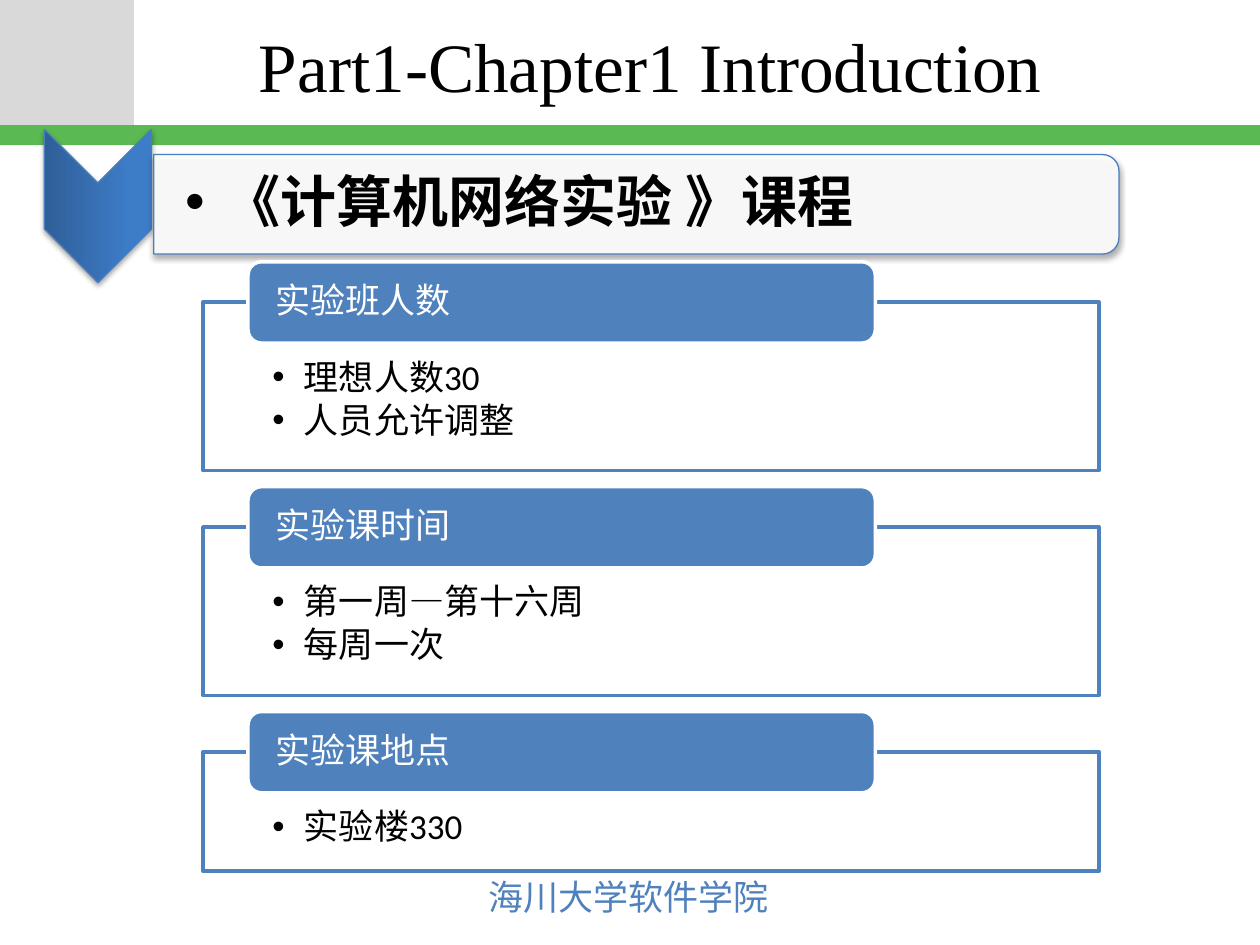
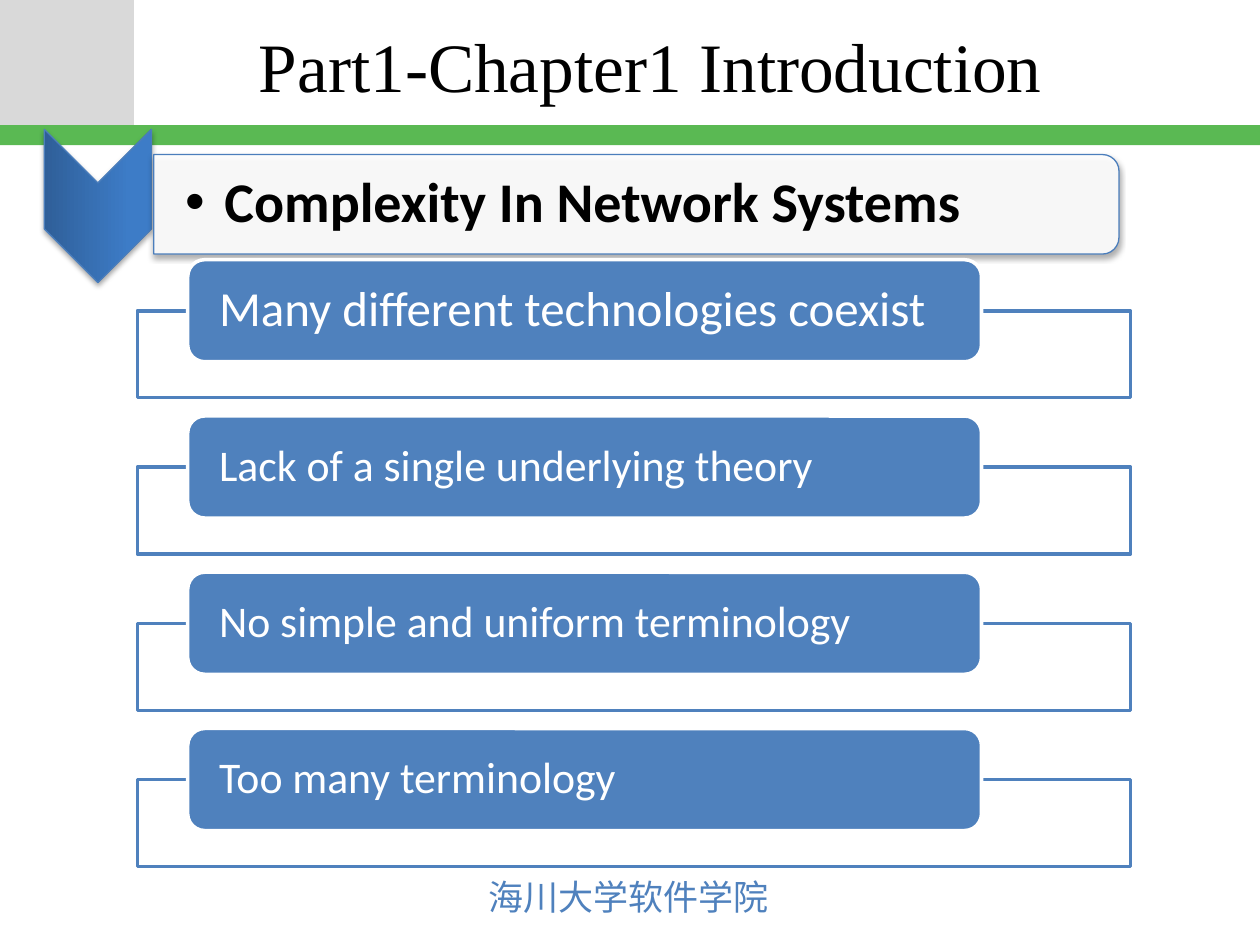
from lxml import etree
from pptx import Presentation
from pptx.dml.color import RGBColor
from pptx.enum.shapes import MSO_SHAPE
from pptx.enum.text import MSO_ANCHOR, PP_ALIGN
from pptx.oxml.ns import qn
from pptx.util import Pt

RECTANGLE = MSO_SHAPE.RECTANGLE
ROUNDED = MSO_SHAPE.ROUNDED_RECTANGLE
ROUNDED_END = MSO_SHAPE.ROUND_2_SAME_RECTANGLE
CHEVRON = MSO_SHAPE.CHEVRON
TOP, MIDDLE = MSO_ANCHOR.TOP, MSO_ANCHOR.MIDDLE
LEFT, CENTER = PP_ALIGN.LEFT, PP_ALIGN.CENTER

GREY, GREEN, BLUE = "D9D9D9", "5AB953", "4F81BD"
EDGE, WHITE, BLACK = "4B7EBC", "FFFFFF", "000000"
CHEVRON_DARK, CHEVRON_LIGHT = "2F5F99", "3D7CC7"
DEFAULT_INSETS = (7.2, 3.6, 7.2, 3.6)


def add_box(slide, kind, frame, fill, line=None, width=0, opacity=100, shadow=False):
    shape = slide.shapes.add_shape(kind, *map(Pt, frame))
    shape.fill.solid()
    shape.fill.fore_color.rgb = RGBColor.from_string(fill)
    if opacity < 100:
        color = shape.fill._xPr.find(".//" + qn("a:srgbClr"))
        etree.SubElement(color, qn("a:alpha"), val=str(opacity * 1000))
    if line:
        shape.line.color.rgb = RGBColor.from_string(line)
        shape.line.width = Pt(width)
    else:
        shape.line.fill.background()
    shape.shadow.inherit = False
    if shadow:
        effects = shape._element.spPr.find(qn("a:effectLst"))
        outer = etree.SubElement(effects, qn("a:outerShdw"), blurRad=str(Pt(3.1)),
                                 dist=str(Pt(1.8)), dir="5400000", rotWithShape="0")
        color = etree.SubElement(outer, qn("a:srgbClr"), val=BLACK)
        etree.SubElement(color, qn("a:alpha"), val="35000")
    return shape


def write_text(shape, lines, size, color, font="Calibri", insets=DEFAULT_INSETS,
               anchor=MIDDLE, align=LEFT, spacing=1, bold=False, bullet_indent=0):
    text_frame = shape.text_frame
    text_frame.word_wrap = True
    text_frame.vertical_anchor = anchor
    (text_frame.margin_left, text_frame.margin_top,
     text_frame.margin_right, text_frame.margin_bottom) = map(Pt, insets)
    text_frame.text = "\n".join(lines)
    for paragraph in text_frame.paragraphs:
        paragraph.alignment = align
        paragraph.line_spacing = spacing
        if bullet_indent:
            paragraph.space_after = Pt(size * 0.15)
            properties = paragraph._p.get_or_add_pPr()
            properties.set("marL", str(Pt(bullet_indent)))
            properties.set("indent", str(-Pt(bullet_indent)))
            etree.SubElement(properties, qn("a:buFont"), typeface="Arial")
            etree.SubElement(properties, qn("a:buChar"), char="•")
        for run in paragraph.runs:
            run.font.size = Pt(size)
            run.font.bold = bold
            run.font.color.rgb = RGBColor.from_string(color)
            run.font.name = font


# Each section is: label, label size, body height, bullets
slides = [
    {
        "heading": "《计算机网络实验 》课程",
        "body_left": 116, "body_top": 172.6, "body_width": 512, "gap": 32.1,
        "label_left": 141.7, "label_rise": 23, "label_width": 358.5,
        "label_height": 46.5, "label_inset": 13.5,
        "sections": [
            ("实验班人数", 20, 96.4, ["理想人数30", "人员允许调整"]),
            ("实验课时间", 20, 96.4, ["第一周—第十六周", "每周一次"]),
            ("实验课地点", 20, 68.3, ["实验楼330"]),
        ],
    },
    {
        "heading": "Complexity In Network Systems",
        "body_left": 78.5, "body_top": 177.6, "body_width": 567.5, "gap": 39.6,
        "label_left": 107.3, "label_rise": 29.2, "label_width": 453.6,
        "label_height": 58.3, "label_inset": 15.1,
        "sections": [
            ("Many different technologies coexist", 28, 49.7, []),
            ("Lack of a single underlying theory", 25, 49.7, []),
            ("No simple and uniform terminology", 25, 49.7, []),
            ("Too many terminology", 25, 49.7, []),
        ],
    },
]

presentation = Presentation()
presentation.slide_width, presentation.slide_height = Pt(720), Pt(540)

for content in slides:
    slide = presentation.slides.add_slide(presentation.slide_layouts[6])

    # Corner block, band, footer and title
    add_box(slide, RECTANGLE, (0, 0, 76.5, 71.5), GREY)
    add_box(slide, RECTANGLE, (0, 71.5, 720, 11.5), GREEN)
    footer = slide.shapes.add_textbox(Pt(272), Pt(497), Pt(176.4), Pt(31.5))
    write_text(footer, ["海川大学软件学院"], 20, BLUE, "Noto Sans CJK JP", anchor=TOP)
    footer.text_frame.word_wrap = False
    title = slide.shapes.add_textbox(Pt(125.3), Pt(1.5), Pt(493), Pt(70.5))
    write_text(title, ["Part1-Chapter1 Introduction"], 39.6, BLACK, "Times New Roman",
               align=CENTER)

    # Heading with its chevron
    chevron = add_box(slide, CHEVRON, (12.2, 87.1, 87.5, 61.2), BLUE, EDGE, 0.75, shadow=True)
    chevron.rotation = 90
    chevron.fill.gradient()
    chevron.fill.gradient_angle = 90
    for stop, color, position in zip(chevron.fill.gradient_stops,
                                     (CHEVRON_DARK, CHEVRON_LIGHT), (0, 0.8)):
        stop.color.rgb = RGBColor.from_string(color)
        stop.position = position
    panel = add_box(slide, ROUNDED_END, (335.2, -159, 56.9, 551.5), WHITE, EDGE, 0.75, 90, True)
    panel.rotation = 90
    heading = slide.shapes.add_textbox(Pt(87.8), Pt(91.2), Pt(549), Pt(51.3))
    write_text(heading, [content["heading"]], 32, BLACK, insets=(18, 1.4, 1.4, 1.4),
               spacing=0.9, bold=True, bullet_indent=22.5)

    # Outlined sections, each with a label over its top edge
    top = content["body_top"]
    for label_text, label_size, height, bullets in content["sections"]:
        body = add_box(slide, RECTANGLE, (content["body_left"], top, content["body_width"], height),
                       WHITE, BLUE, 2, 90)
        if bullets:
            write_text(body, bullets, 20, BLACK, insets=(39.7, 33, 39.7, 11.5), anchor=TOP,
                       spacing=0.9, bullet_indent=18)
        label = add_box(slide, ROUNDED, (content["label_left"], top - content["label_rise"],
                                         content["label_width"], content["label_height"]),
                        BLUE, WHITE, 2)
        inset = content["label_inset"]
        write_text(label, [label_text], label_size, WHITE, insets=(inset, 0, inset, 0), spacing=0.9)
        top += height + content["gap"]

presentation.save("out.pptx")
